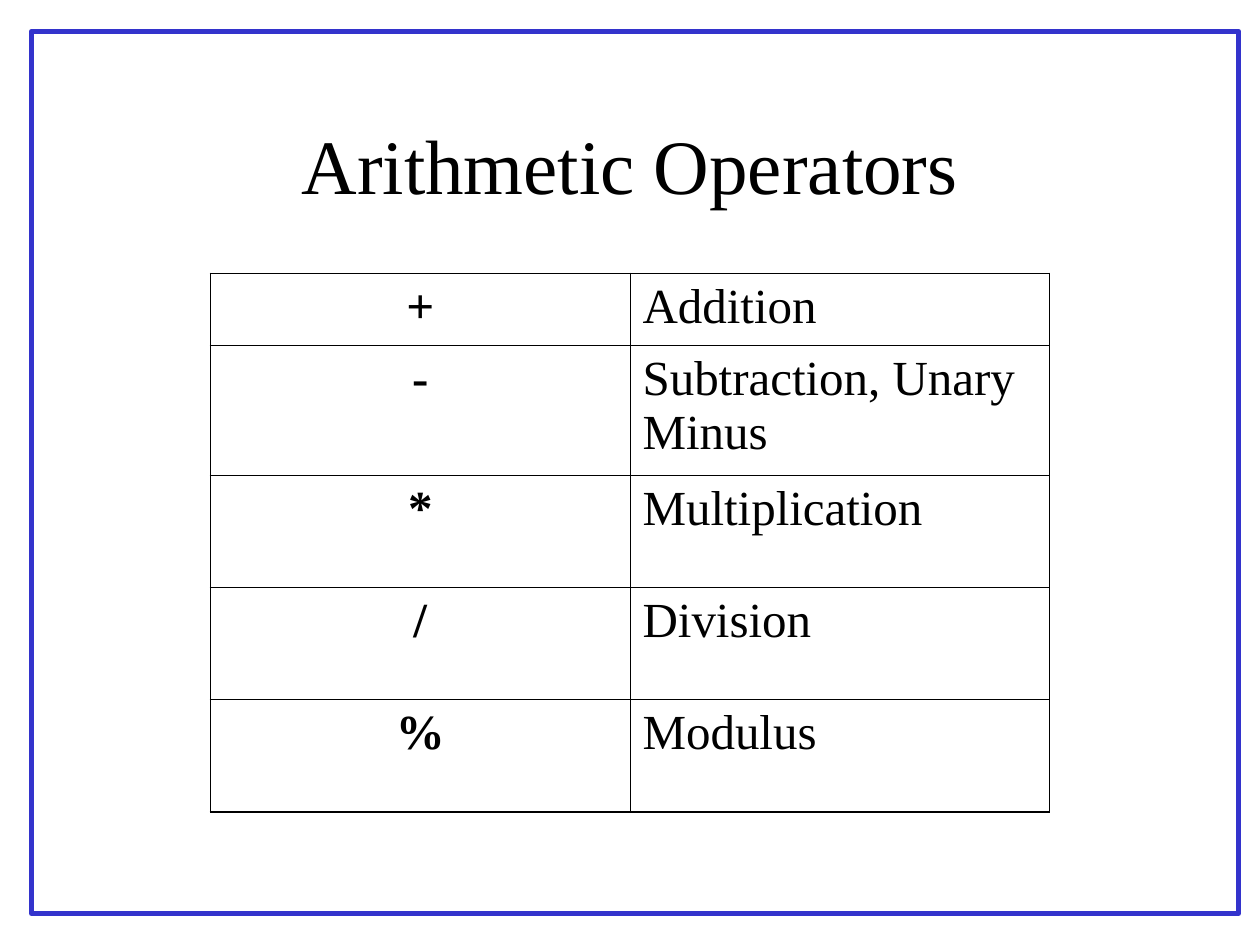
from dataclasses import dataclass

from lxml.etree import SubElement
from pptx import Presentation
from pptx.dml.color import RGBColor
from pptx.enum.shapes import MSO_SHAPE
from pptx.enum.text import MSO_ANCHOR, PP_ALIGN
from pptx.oxml.ns import qn
from pptx.util import Inches, Pt


@dataclass(frozen=True)
class Theme:
    font: str = "Times New Roman"
    ink: str = "000000"
    paper: str = "FFFFFF"
    frame: str = "3333CC"
    title_size: float = 44
    body_size: float = 28
    frame_width: float = 3
    outer_width: float = 1.08
    inner_width: float = 0.45


@dataclass(frozen=True)
class Operator:
    symbol: str
    meaning: str
    height: float = 0.89


THEME = Theme()
OPERATORS = [
    Operator("+", "Addition", 0.57),
    Operator("-", "Subtraction, Unary Minus", 1.03),
    Operator("*", "Multiplication"),
    Operator("/", "Division"),
    Operator("%", "Modulus"),
]
COLUMN_WIDTH = 3.33


def write(tf, text: str, *, size: float, bold: bool = False,
          align=PP_ALIGN.LEFT) -> None:
    tf.word_wrap = True
    p = tf.paragraphs[0]
    p.alignment = align
    r = p.add_run()
    r.text = text
    r.font.name = THEME.font
    r.font.size = Pt(size)
    r.font.bold = bold
    r.font.color.rgb = RGBColor.from_string(THEME.ink)


def draw_frame(slide) -> None:
    sp = slide.shapes.add_shape(MSO_SHAPE.RECTANGLE, Inches(0.25), Inches(0.25),
                                Inches(9.58), Inches(7))
    sp.shadow.inherit = False
    sp.fill.solid()
    sp.fill.fore_color.rgb = RGBColor.from_string(THEME.paper)
    sp.line.color.rgb = RGBColor.from_string(THEME.frame)
    sp.line.width = Pt(THEME.frame_width)


def draw_title(slide, text: str) -> None:
    sp = slide.shapes.add_textbox(Inches(0.75), Inches(0.67),
                                  Inches(8.5), Inches(1.25))
    sp.text_frame.vertical_anchor = MSO_ANCHOR.MIDDLE
    write(sp.text_frame, text, size=THEME.title_size, align=PP_ALIGN.CENTER)


def set_borders(cell, outer: dict[str, bool]) -> None:
    tc_pr = cell._tc.get_or_add_tcPr()
    for i, (side, is_outer) in enumerate(outer.items()):
        width = THEME.outer_width if is_outer else THEME.inner_width
        ln = SubElement(tc_pr, qn(f"a:ln{side}"), w=str(int(Pt(width))))
        fill = SubElement(ln, qn("a:solidFill"))
        SubElement(fill, qn("a:srgbClr"), val=THEME.ink)
        tc_pr.insert(i, ln)


def draw_table(slide, operators: list[Operator]) -> None:
    height = sum(op.height for op in operators)
    table = slide.shapes.add_table(len(operators), 2, Inches(1.67), Inches(2.17),
                                   Inches(2 * COLUMN_WIDTH), Inches(height)).table
    table.first_row = False
    table.horz_banding = False
    for column in table.columns:
        column.width = Inches(COLUMN_WIDTH)
    last = len(operators) - 1
    for i, op in enumerate(operators):
        table.rows[i].height = Inches(op.height)
        for j, text in enumerate((op.symbol, op.meaning)):
            cell = table.cell(i, j)
            cell.fill.background()
            cell.margin_left = cell.margin_right = Inches(0.1)
            cell.margin_top = cell.margin_bottom = Inches(0.05)
            write(cell.text_frame, text, size=THEME.body_size, bold=j == 0,
                  align=PP_ALIGN.CENTER if j == 0 else PP_ALIGN.LEFT)
            set_borders(cell, {"L": j == 0, "R": j == 1,
                               "T": i == 0, "B": i == last})


def main() -> None:
    prs = Presentation()
    prs.slide_width, prs.slide_height = Inches(10), Inches(7.5)
    slide = prs.slides.add_slide(prs.slide_layouts[6])
    draw_frame(slide)
    draw_title(slide, "Arithmetic Operators")
    draw_table(slide, OPERATORS)
    prs.save("out.pptx")


if __name__ == "__main__":
    main()
